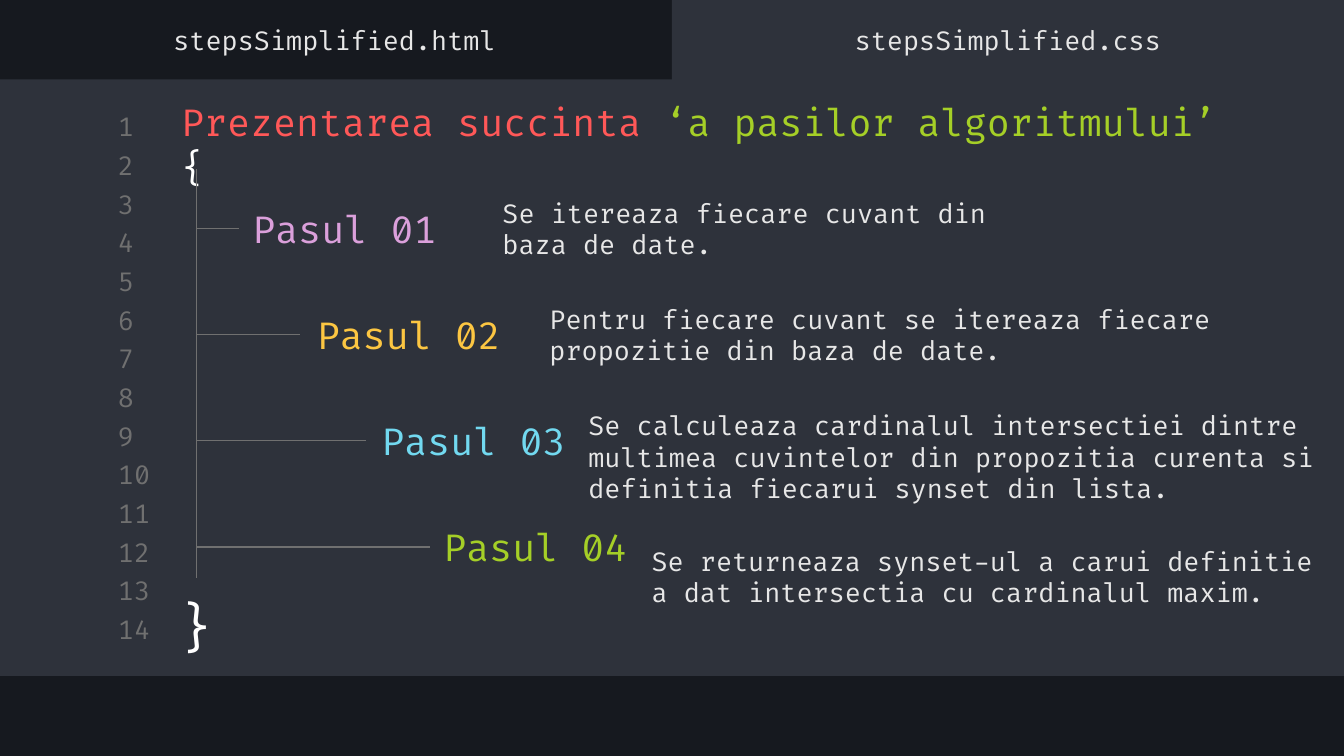
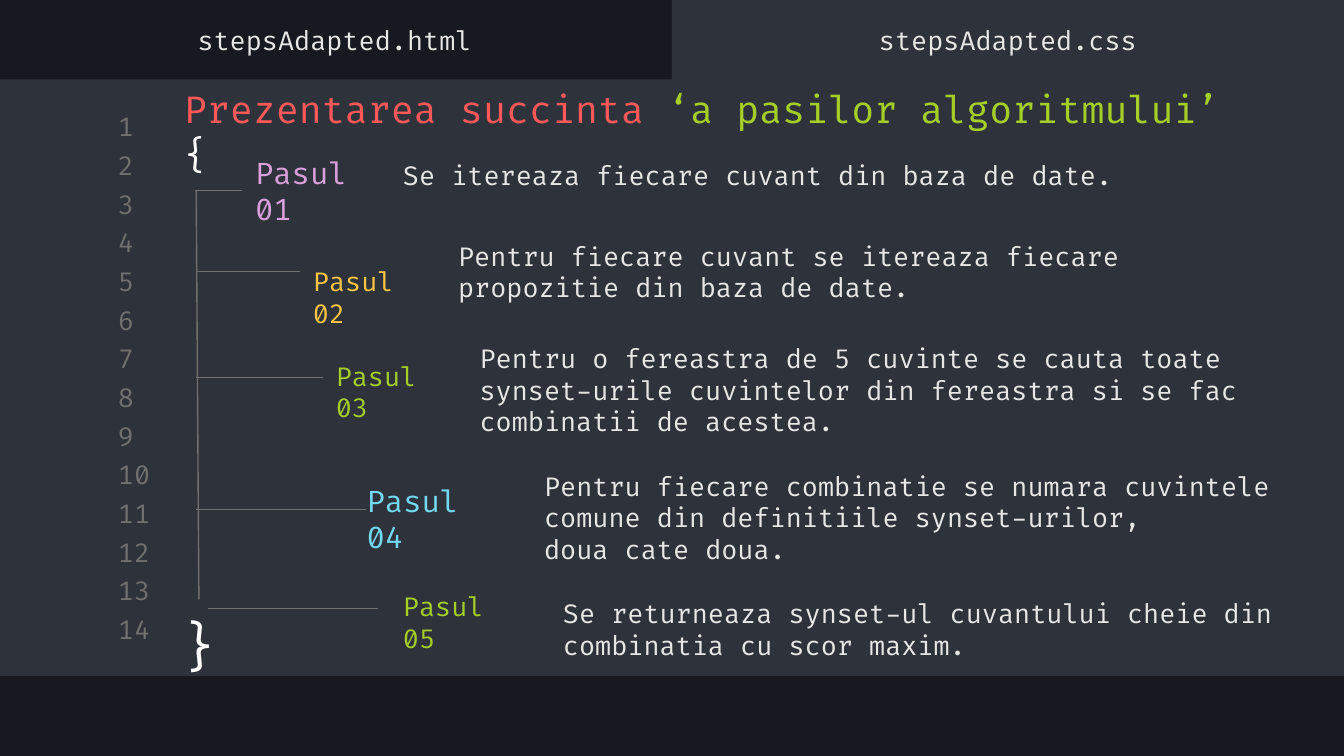
from pptx import Presentation
from pptx.dml.color import RGBColor
from pptx.enum.shapes import MSO_CONNECTOR as Connector, MSO_SHAPE as Shape
from pptx.enum.text import MSO_ANCHOR as Anchor, PP_ALIGN as Align
from pptx.oxml.xmlchemy import OxmlElement
from pptx.util import Inches, Pt

NIGHT, PANEL, GREY, LIGHT, WHITE = "16191F", "2E323B", "707070", "E7E7E7", "FFFFFF"
RED, GREEN, PINK, YELLOW, CYAN = "FF5858", "A5CF27", "DBA0DB", "FCC642", "72D9F0"
FONT = "Fira Code"
WIDTH = Inches(10)
INSET = Inches(0.1)
FRAME = {"word_wrap": True, "margin_left": INSET, "margin_right": INSET,
         "margin_top": INSET, "margin_bottom": INSET}
LINE_COUNT, FIRST_LINE, LAST_LINE = 14, 0.82, 4.56
LINE_STEP = (LAST_LINE - FIRST_LINE) / (LINE_COUNT - 1)
PANELS = [(0, 0.59, 10, 4.44), (5, 0, 5, 0.65)]
TITLE = [("Prezentarea succinta ", RED), ("‘a pasilor algoritmului’ ", GREEN), ("{", WHITE)]


def color(target, value):
    target.rgb = RGBColor.from_string(value)


def write(slide, box, paragraphs, size, anchor=Anchor.MIDDLE, align=Align.LEFT):
    area = slide.shapes.add_textbox(*map(Inches, box))
    frame = area.text_frame
    for name, value in {**FRAME, "vertical_anchor": anchor}.items():
        setattr(frame, name, value)
    for index, runs in enumerate(paragraphs):
        paragraph = frame.add_paragraph() if index else frame.paragraphs[0]
        paragraph.alignment = align
        for words, tint in runs:
            run = paragraph.add_run()
            run.text = words
            for name, value in {"name": FONT, "size": Pt(size)}.items():
                setattr(run.font, name, value)
            color(run.font.color, tint)
    return area


pages = [
    {
        "file": "stepsSimplified",
        "title": (1.25, 0.64),
        "brace": (1.19, 4.32),
        "trunk": (1.46, 1.26, 1.46, 4.3),
        "steps": [
            (["Pasul 01"], (1.78, 1.38, 1.59, 0.64), 20, PINK, (1.46, 1.7, 1.78, 1.7),
             ["Se itereaza fiecare cuvant din baza de date."], (3.64, 1.38, 4.35, 0.64)),
            (["Pasul 02"], (2.26, 2.17, 1.64, 0.64), 20, YELLOW, (1.46, 2.49, 2.23, 2.49),
             ["Pentru fiecare cuvant se itereaza fiecare propozitie din baza de date."],
             (3.99, 2.17, 5.23, 0.64)),
            (["Pasul 03"], (2.74, 2.96, 1.64, 0.64), 20, CYAN, (1.46, 3.28, 2.72, 3.28),
             ["Se calculeaza cardinalul intersectiei dintre multimea cuvintelor din "
              "propozitia curenta si definitia fiecarui synset din lista."],
             (4.28, 3.08, 6.1, 0.64)),
            (["Pasul 04"], (3.2, 3.75, 1.59, 0.64), 20, GREEN, (1.46, 4.07, 3.2, 4.07),
             ["Se returneaza synset-ul a carui definitie a dat intersectia cu "
              "cardinalul maxim."], (4.75, 3.97, 5.17, 0.64)),
        ],
    },
    {
        "file": "stepsAdapted",
        "title": (1.27, 0.54),
        "brace": (1.21, 4.46),
        "trunk": (1.46, 1.42, 1.48, 4.46),
        "steps": [
            (["Pasul", "01"], (1.8, 1.1, 1.42, 0.64), 16, PINK, (1.45, 1.42, 1.8, 1.42),
             ["Se itereaza fiecare cuvant din baza de date."], (2.9, 0.98, 5.62, 0.64)),
            (["Pasul", "02"], (2.23, 1.89, 1.42, 0.64), 14, YELLOW, (1.46, 2.02, 2.23, 2.02),
             ["Pentru fiecare cuvant se itereaza fiecare propozitie din baza de date."],
             (3.31, 1.7, 6.15, 0.64)),
            (["Pasul", "03"], (2.4, 2.63, 5.19, 0.57), 14, GREEN, (1.46, 2.81, 2.4, 2.81),
             ["Pentru o fereastra de 5 cuvinte se cauta toate synset-urile cuvintelor "
              "din fereastra si se fac combinatii de acestea."], (3.47, 2.58, 6.46, 0.64)),
            (["Pasul", "04"], (2.63, 3.54, 1.42, 0.64), 16, CYAN, (1.46, 3.79, 2.72, 3.79),
             ["Pentru fiecare combinatie se numara cuvintele",
              "comune din definitiile synset-urilor,",
              "doua cate doua."], (3.95, 3.53, 6.92, 0.64)),
            (["Pasul", "05"], (2.9, 4.31, 1.26, 0.64), 14, GREEN, (1.55, 4.53, 2.81, 4.53),
             ["Se returneaza synset-ul cuvantului cheie din combinatia cu scor maxim."],
             (4.09, 4.36, 5.72, 0.64)),
        ],
    },
]

deck = Presentation()
for name, value in {"slide_width": WIDTH, "slide_height": WIDTH * 9 // 16}.items():
    setattr(deck, name, value)

for page in pages:
    slide = deck.slides.add_slide(deck.slide_layouts[6])
    slide.background.fill.solid()
    color(slide.background.fill.fore_color, NIGHT)

    for box in PANELS:
        panel = slide.shapes.add_shape(Shape.RECTANGLE, *map(Inches, box))
        panel.shadow.inherit = False
        panel.fill.solid()
        color(panel.fill.fore_color, PANEL)
        panel.line.fill.background()

    for row in range(LINE_COUNT):
        write(slide, (0.78, FIRST_LINE + row * LINE_STEP, 0.47, 0.24),
              [[(str(row + 1), GREY)]], 14)

    write(slide, (*page["title"], 7.97, 0.59), [TITLE], 20, Anchor.TOP)
    write(slide, (*page["brace"], 0.55, 0.67), [[("}", WHITE)]], 28, Anchor.TOP, Align.CENTER)

    branches = [(page["trunk"], None)]
    for heading, heading_box, size, tint, branch, details, details_box in page["steps"]:
        label = write(slide, heading_box, [[(words, tint)] for words in heading], size)
        write(slide, details_box, [[(words, LIGHT)] for words in details], 14)
        left, top, _, height = heading_box
        joins = abs(branch[2] - left) < 0.01 and abs(branch[3] - top - height / 2) < 0.01
        branches.append((branch, label if joins else None))

    for left, extension in ((-0.01, "html"), (5, "css")):
        write(slide, (left, 0.1, 5, 0.39), [[(f"{page['file']}.{extension}", LIGHT)]], 14,
              align=Align.CENTER)

    for ends, label in branches:
        branch = slide.shapes.add_connector(Connector.STRAIGHT, *map(Inches, ends))
        color(branch.line.color, GREY)
        branch.line.width = Pt(0.75)
        branch._element.spPr.append(OxmlElement("a:effectLst"))
        if label is not None:
            branch.end_connect(label, 1)

deck.save("out.pptx")
